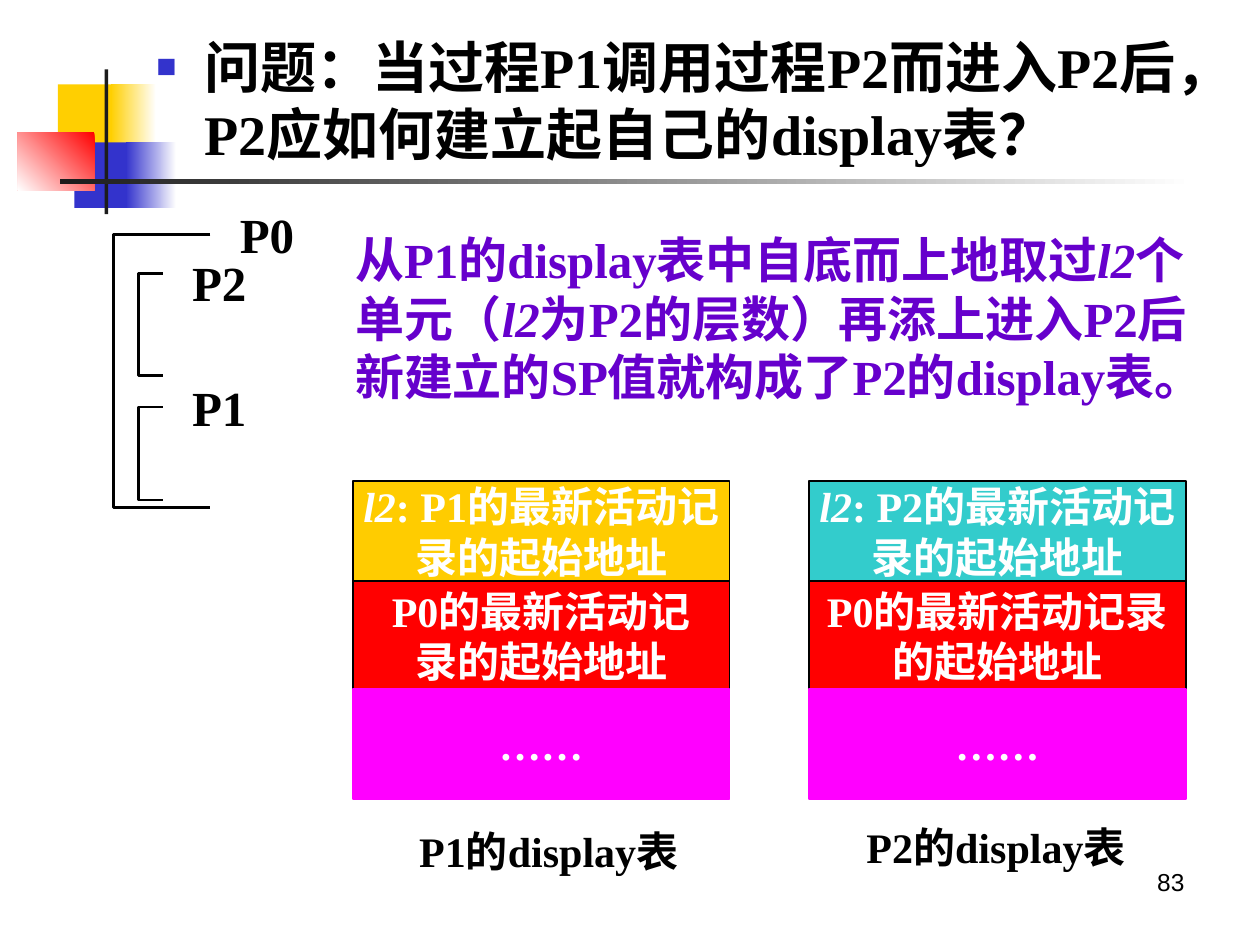
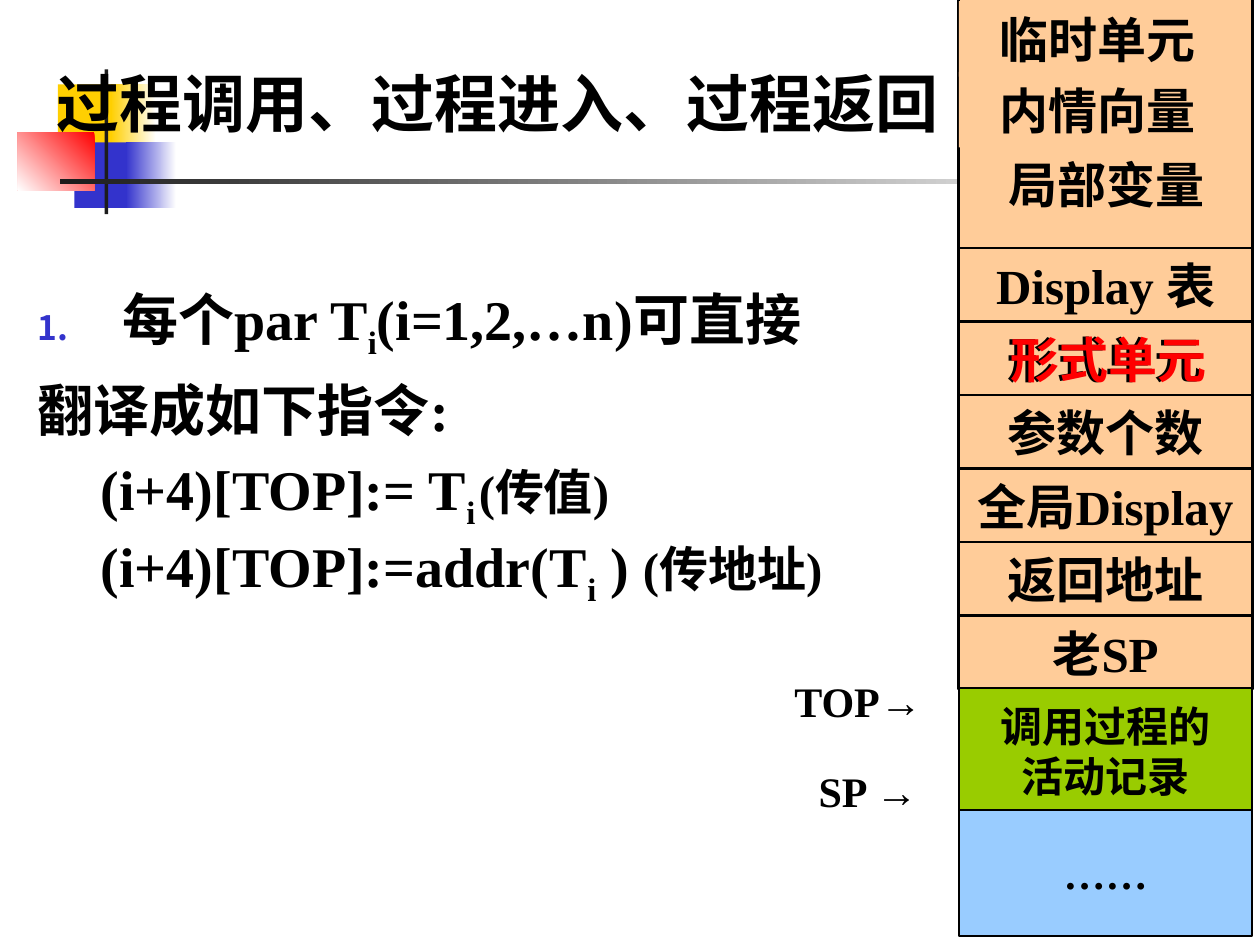
from lxml import etree
from pptx import Presentation
from pptx.dml.color import RGBColor
from pptx.enum.shapes import MSO_SHAPE
from pptx.enum.text import MSO_ANCHOR, MSO_AUTO_SIZE, PP_ALIGN
from pptx.oxml.ns import qn
from pptx.util import Inches, Pt

BLACK = RGBColor(0x00, 0x00, 0x00)
WHITE = RGBColor(0xFF, 0xFF, 0xFF)
INK = RGBColor(0x1C, 0x1C, 0x1C)
YELLOW = RGBColor(0xFF, 0xCF, 0x01)
BLUE = RGBColor(0x33, 0x33, 0xCC)
RED = RGBColor(0xFF, 0x00, 0x00)
PURPLE = RGBColor(0x66, 0x00, 0xCC)
GOLD = RGBColor(0xFF, 0xCC, 0x00)
TEAL = RGBColor(0x33, 0xCC, 0xCC)
MAGENTA = RGBColor(0xFF, 0x00, 0xFF)
PEACH = RGBColor(0xFF, 0xCC, 0x99)
GREEN = RGBColor(0x99, 0xCC, 0x00)
SKY = RGBColor(0x99, 0xCC, 0xFF)
SERIF, SANS = "Times New Roman", "Arial"
ITALIC, SUB, ARROW = {"italic": True}, {"sub": True}, {"font": SANS}


def write(tf, paras, size=28, color=BLACK, bold=True, font=SERIF,
          align=PP_ALIGN.CENTER, anchor=MSO_ANCHOR.MIDDLE, wrap=False):
    """Each paragraph is a string or a list of strings and (text, format) pairs."""
    tf.word_wrap, tf.vertical_anchor = wrap, anchor
    tf.auto_size = MSO_AUTO_SIZE.NONE
    for i, runs in enumerate(paras):
        p = tf.paragraphs[0] if i == 0 else tf.add_paragraph()
        p.alignment = align
        for run in [runs] if isinstance(runs, str) else runs:
            text, fmt = (run, {}) if isinstance(run, str) else run
            r = p.add_run()
            r.text = text
            r.font.name = fmt.get("font", font)
            r.font.size = Pt(fmt.get("size", size))
            r.font.bold = bold
            r.font.italic = fmt.get("italic", False)
            r.font.color.rgb = color
            if "sub" in fmt:
                r.font._element.set("baseline", "-25000")


def box(slide, x, y, w, h, paras=(), fill=None, line=None, line_w=1.5, **fmt):
    """A filled rectangle, or a text box when there is no fill."""
    pos = [Inches(v) for v in (x, y, w, h)]
    if fill is None:
        sp = slide.shapes.add_textbox(*pos)
    else:
        sp = slide.shapes.add_shape(MSO_SHAPE.RECTANGLE, *pos)
        sp.shadow.inherit = False
        if isinstance(fill, RGBColor):
            sp.fill.solid()
            sp.fill.fore_color.rgb = fill
        else:
            start, end, angle = fill
            sp.fill.gradient()
            sp.fill.gradient_angle = 360 - angle
            sp.fill.gradient_stops[0].color.rgb = start
            sp.fill.gradient_stops[1].color.rgb = end
        if line is None:
            sp.line.fill.background()
        else:
            sp.line.color.rgb = line
            sp.line.width = Pt(line_w)
    if paras:
        write(sp.text_frame, paras, **fmt)
    return sp


prs = Presentation()
prs.slide_width, prs.slide_height = Inches(10), Inches(7.5)
s1, s2 = [prs.slides.add_slide(prs.slide_layouts[1]) for _ in range(2)]

# Shared decoration, moved to the slide master
decor = [
    (0.46, 0.67, 0.48, 0.52, YELLOW),
    (0.88, 0.67, 0.36, 0.52, (WHITE, YELLOW, 180)),
    (0.59, 1.13, 0.46, 0.52, BLUE),
    (1.0, 1.13, 0.4, 0.52, (WHITE, BLUE, 180)),
    (0.14, 1.05, 0.61, 0.46, (RED, WHITE, 135)),
    (0.83, 0.55, 0.03, 1.15, INK),
    (0.48, 1.42, 9, 0.04, (WHITE, INK, 180)),
]
for i, (x, y, w, h, fill) in enumerate(decor):
    sp = box(s1, x, y, w, h, fill=fill)
    prs.slide_master.shapes.element.insert(2 + i, sp.element)

# Title and body placeholders
title, body1, body2 = s2.shapes.title, s1.placeholders[1], s2.placeholders[1]
s1.shapes.element.remove(s1.shapes.title.element)
for sp, pos in [(title, (0.35, 0.39, 7.32, 0.84)),
                (body1, (1.14, 0.21, 8.67, 1.25)),
                (body2, (0.2, 2.21, 6.93, 4.5))]:
    sp.left, sp.top, sp.width, sp.height = [Inches(v) for v in pos]
write(title.text_frame, ["过程调用、过程进入、过程返回"], size=36,
      align=PP_ALIGN.LEFT, wrap=True)
body_fmt = dict(size=32, align=PP_ALIGN.LEFT, anchor=MSO_ANCHOR.TOP, wrap=True)
write(body1.text_frame,
      ["问题：当过程P1调用过程P2而进入P2后，P2应如何建立起自己的display表？"], **body_fmt)
write(body2.text_frame, [
    ["每个par T", ("i", SUB), "(i=1,2,…n)可直接"],
    "翻译成如下指令:",
    ["\t(i+4)[TOP]:= T", ("i", SUB), "\t", ("(传值)", {"size": 28})],
    ["\t(i+4)[TOP]:=addr(T", ("i", SUB), " ) ", ("(传地址)", {"size": 28})],
], **body_fmt)

# Bullets, indents, spacing and tab stops of the body paragraphs
bullets = [("buChar", "char", "■", 0.38, 8), ("buAutoNum", "type", "arabicPeriod", 0.67, 8),
           (None, None, None, 0, 8), (None, None, None, 0, 7), (None, None, None, 0, 0)]
paras = [*body1.text_frame.paragraphs, *body2.text_frame.paragraphs]
for p, (tag, key, value, indent, before) in zip(paras, bullets):
    p.space_before = Pt(before)
    pPr = p._p.get_or_add_pPr()
    pPr.set("marL", str(Inches(indent)))
    pPr.set("indent", str(-Inches(indent)))
    if tag:
        color = etree.SubElement(pPr, qn("a:buClr"))
        etree.SubElement(color, qn("a:srgbClr")).set("val", str(BLUE))
        etree.SubElement(pPr, qn("a:buSzPct")).set("val", "60000")
        etree.SubElement(pPr, qn("a:buFont")).set("typeface", SANS)
        etree.SubElement(pPr, qn("a:" + tag)).set(key, value)
    else:
        etree.SubElement(pPr, qn("a:buNone"))
        tabs = etree.SubElement(pPr, qn("a:tabLst"))
        for stop in (0.67, 4.87):
            tab = etree.SubElement(tabs, qn("a:tab"))
            tab.set("pos", str(Inches(stop)))
            tab.set("algn", "l")

# Slide 1: nesting brackets of the procedures
for name, left, right, top, bottom, label_y in [("P0", 0.9, 1.67, 1.86, 4.03, 1.61),
                                                ("P2", 1.1, 1.29, 2.17, 2.98, 1.99),
                                                ("P1", 1.1, 1.29, 3.23, 3.97, 2.98)]:
    fb = s1.shapes.build_freeform(Inches(right), Inches(top))
    fb.add_line_segments([(Inches(x), Inches(y)) for x, y in
                          [(left, top), (left, bottom), (right, bottom)]], close=False)
    sp = fb.convert_to_shape()
    sp.shadow.inherit = False
    sp.fill.background()
    sp.line.color.rgb = BLACK
    sp.line.width = Pt(1.5)
    box(s1, right, label_y, 0.9, 0.5, [name])

# Slide 1: display tables of P1 and P2
for name, x, fill, p0_lines, label_x, label_y in [
        ("P1", 2.8, GOLD, ["P0的最新活动记", "录的起始地址"], 3.11, 6.5),
        ("P2", 6.42, TEAL, ["P0的最新活动记录", "的起始地址"], 6.66, 6.47)]:
    top_lines = [[("l2", ITALIC), f": {name}的最新活动记"], "录的起始地址"]
    for y, h, lines, cell_fill, line in [(3.82, 0.79, top_lines, fill, BLACK),
                                         (4.61, 0.87, p0_lines, RED, BLACK),
                                         (5.47, 0.87, ["……"], MAGENTA, MAGENTA)]:
        box(s1, x, y, 2.99, h, lines, fill=cell_fill, line=line, line_w=1,
            size=24, color=WHITE)
    box(s1, label_x, label_y, 2.49, 0.5, [f"{name}的display表"], size=24,
        anchor=MSO_ANCHOR.TOP)

# Slide 1: answer and page number
box(s1, 2.72, 1.77, 7.09, 1.97,
    [["从P1的display表中自底而上地取过", ("l2", ITALIC), "个单元（", ("l2", ITALIC),
      "为P2的层数）再添上进入P2后新建立的SP值就构成了P2的display表。"]],
    color=PURPLE, align=PP_ALIGN.LEFT, anchor=MSO_ANCHOR.TOP, wrap=True)
box(s1, 7.17, 6.83, 2.33, 0.52, ["83"], size=14, bold=False, font=SANS,
    align=PP_ALIGN.RIGHT, anchor=MSO_ANCHOR.TOP, wrap=True)

# Slide 2: activation record on the stack
rows = ["Display 表", "形式单元", "参数个数", "全局Display", "返回地址", "老SP"]
STACK_X, STACK_W, ROW_TOP = 7.61, 2.33, 1.97
ROW_H = 3.5 / len(rows)
box(s2, STACK_X, -0.03, STACK_W, 5.5, fill=PEACH, line=BLACK)
for x, y, text in [(7.61, 0.01, "临时单元"), (7.61, 0.57, "内情向量"), (7.68, 1.16, "局部变量")]:
    box(s2, x, y, 2.2, 0.6, [text], fill=PEACH)
for i, text in enumerate(rows):
    box(s2, STACK_X, ROW_TOP + i * ROW_H, STACK_W, ROW_H, [text], fill=PEACH, line=BLACK)
box(s2, 7.88, 2.57, 1.84, 0.57, ["形式单元"], color=RED, anchor=MSO_ANCHOR.TOP, wrap=True)

# Slide 2: caller's record, rest of the stack and pointers
for y, lines, fill in [(5.46, ["调用过程的", "活动记录"], GREEN), (6.43, ["……"], SKY)]:
    box(s2, STACK_X, y, STACK_W, 1, lines, fill=fill, line=BLACK, line_w=1, size=24)
for x, y, name in [(6.1, 5.4, "TOP"), (6.18, 6.11, "SP ")]:
    box(s2, x, y, 1.42, 0.33, [[name, ("→", ARROW)]], size=24)

prs.save("out.pptx")
